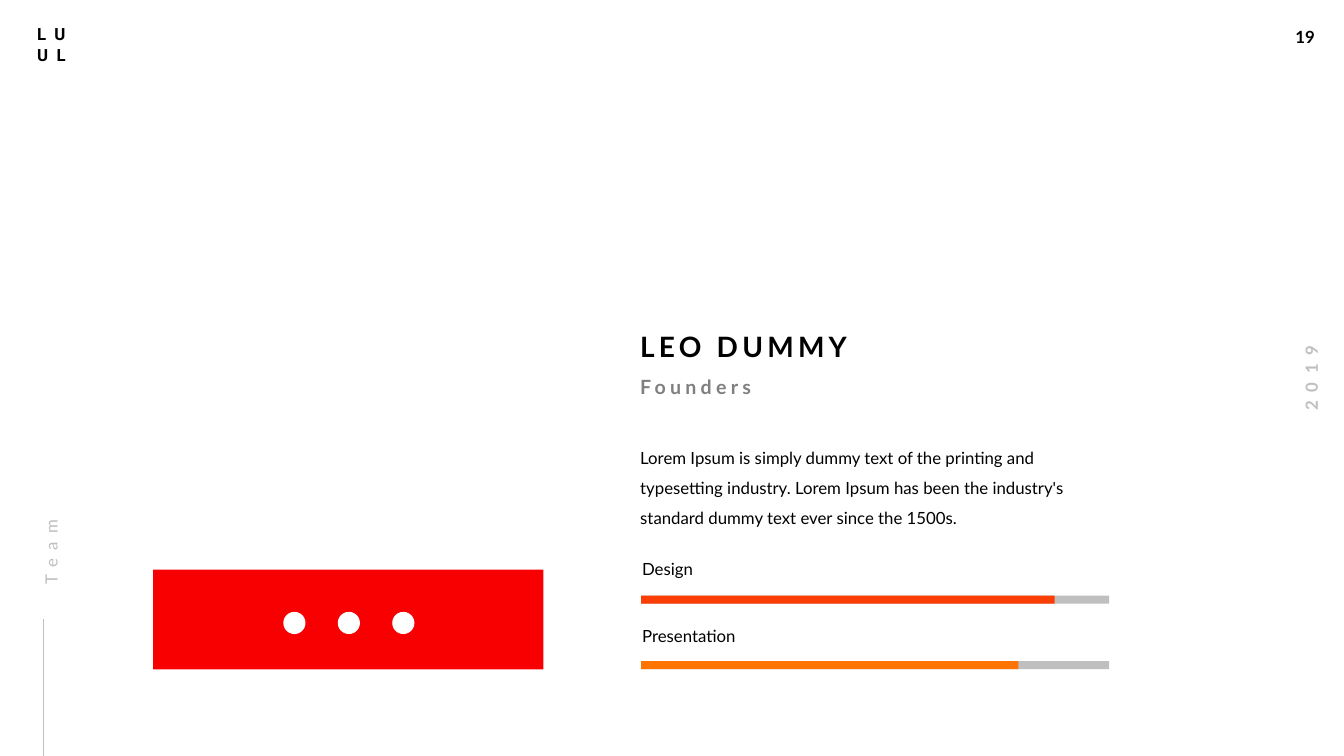
"""Build a team member slide with a profile, skill bars and a social strip."""
from lxml import etree
from pptx import Presentation
from pptx import util as u
from pptx.dml.color import RGBColor
from pptx.enum import shapes, text
from pptx.oxml.ns import qn

BLACK, WHITE, SILVER, GRAY, RED = "000000", "FFFFFF", "BFBFBF", "808080", "F80001"
BODY = ("Lorem Ipsum is simply dummy text of the printing and typesetting industry. "
        "Lorem Ipsum has been the industry's standard dummy text ever since the 1500s.")

PADDED = (0.1, 0.05, 0.1, 0.05)
FLUSH = (0, 0, 0.1, 0)
LABELS = [
    (["19"], (12.75, 0.22, 0.41, 0.3), PADDED, dict(bold=True, wrap=False)),
    (["2019"], (12.54, 3.6, 0.93, 0.3), PADDED,
     dict(color=SILVER, bold=True, tracking=6, rotation=270, wrap=False, centered=True)),
    (["LU", "UL"], (0.27, 0.19, 0.59, 0.5), PADDED, dict(font="Roboto", bold=True, tracking=6)),
    (["LEO DUMMY"], (6.35, 3.27, 3.5, 0.34), FLUSH, dict(size=20, bold=True, tracking=3)),
    (["Founders"], (6.35, 3.72, 2.11, 0.24), FLUSH,
     dict(size=14, color=GRAY, bold=True, tracking=3)),
    ([BODY], (6.35, 4.34, 4.39, 0.87), FLUSH, dict(spacing=1.5)),
    (["Team"], (-0.49, 4.74, 1.85, 0.26), FLUSH,
     dict(color=SILVER, tracking=6, rotation=270, spacing=1.5)),
]
SKILLS = [("Design", 5.49, 5.91, 4.1, "FB3E03"), ("Presentation", 6.16, 6.56, 3.74, "FF7300")]
BAR_LEFT, BAR_WIDTH, BAR_HEIGHT = 6.36, 4.64, 0.08
SOCIAL_STRIP = (1.52, 5.65, 3.87, 0.99)
SOCIAL_CENTERS, SOCIAL_MIDDLE, SOCIAL_SIZE = (2.92, 3.46, 4.0), 6.18, 0.22


def rgb(value):
    return RGBColor.from_string(value)


def add_text(slide, lines, box, insets, size=12, font="Lato", color=BLACK, bold=False,
             tracking=0, rotation=0, wrap=True, centered=False, spacing=None):
    shape = slide.shapes.add_textbox(*map(u.Inches, box))
    shape.rotation = rotation
    frame = shape.text_frame
    frame.word_wrap = wrap
    frame.auto_size = text.MSO_AUTO_SIZE.SHAPE_TO_FIT_TEXT
    (frame.margin_left, frame.margin_top,
     frame.margin_right, frame.margin_bottom) = map(u.Inches, insets)
    frame.text = "\n".join(lines)
    for paragraph in frame.paragraphs:
        if centered:
            paragraph.alignment = text.PP_ALIGN.CENTER
        if spacing:
            paragraph.line_spacing = spacing
        for run in paragraph.runs:
            run.font.size = u.Pt(size)
            run.font.name = font
            run.font.bold = bold
            run.font.color.rgb = rgb(color)
            if tracking:
                run.font._element.set("spc", str(tracking * 100))


def add_block(slide, box, color, kind=shapes.MSO_SHAPE.RECTANGLE):
    shape = slide.shapes.add_shape(kind, *map(u.Inches, box))
    shape.shadow.inherit = False
    shape.fill.solid()
    shape.fill.fore_color.rgb = rgb(color)
    shape.line.fill.background()


def add_line(slide, ends, color, width):
    line = slide.shapes.add_connector(shapes.MSO_CONNECTOR.STRAIGHT, *map(u.Inches, ends))
    line.line.color.rgb = rgb(color)
    line.line.width = u.Pt(width)
    etree.SubElement(line._element.spPr, qn("a:effectLst"))


def main():
    presentation = Presentation()
    presentation.slide_width = u.Inches(13.33)
    presentation.slide_height = u.Inches(7.5)
    slide = presentation.slides.add_slide(presentation.slide_layouts[6])

    for lines, box, insets, style in LABELS:
        add_text(slide, lines, box, insets, **style)
    add_line(slide, (0.43, 7.5, 0.43, 6.14), SILVER, 0.5)

    add_block(slide, SOCIAL_STRIP, RED)
    for center in SOCIAL_CENTERS:
        box = (center - SOCIAL_SIZE / 2, SOCIAL_MIDDLE - SOCIAL_SIZE / 2, SOCIAL_SIZE, SOCIAL_SIZE)
        add_block(slide, box, WHITE, shapes.MSO_SHAPE.OVAL)

    for name, label_top, bar_top, filled, color in SKILLS:
        add_text(slide, [name], (6.27, label_top, 2.39, 0.3), PADDED)
        for width, fill in ((BAR_WIDTH, SILVER), (filled, color)):
            add_block(slide, (BAR_LEFT, bar_top, width, BAR_HEIGHT), fill)

    presentation.save("out.pptx")


if __name__ == "__main__":
    main()
